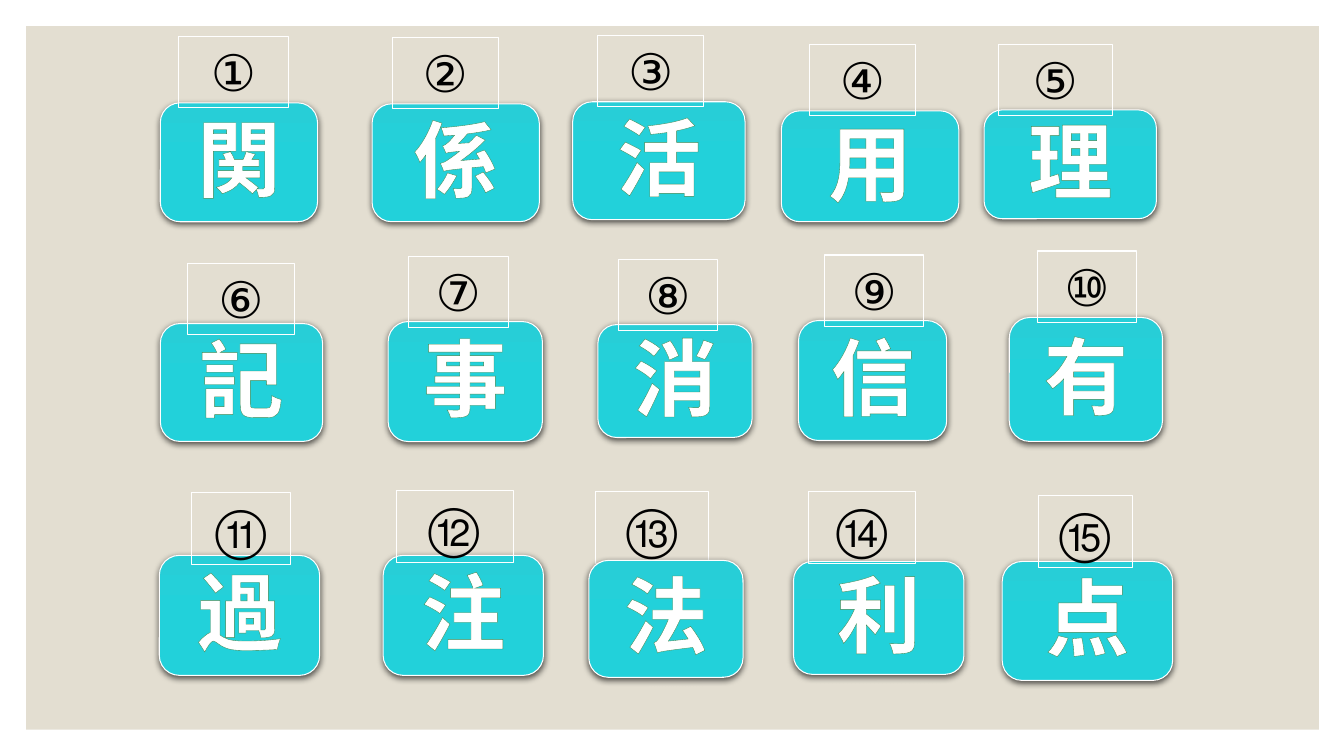
from lxml import etree
from pptx import Presentation
from pptx.dml.color import RGBColor
from pptx.enum.shapes import MSO_SHAPE as Preset
from pptx.enum.text import MSO_ANCHOR as Anchor, MSO_AUTO_SIZE as AutoSize, PP_ALIGN as Align
from pptx.oxml.ns import qn
from pptx.util import Inches, Pt

COLOURS = {
    "panel": "E3DED1",
    "white": "FFFFFF",
    "black": "000000",
    "glyph_edge": "3E8853",
}
TILE_GRADIENT = ((0, "27CED7"), (50, "22D1DA"), (100, "22D0D9"))

# Kanji, tile box and label box (left, top, width); numbers follow the order
LABEL_HEIGHT = 0.71
FIRST_NUMBER = "①"
LABELS_BEHIND = "法"
CARDS = [
    ("関", (1.59, 1.02, 1.56, 1.18), (1.77, 0.36, 1.09)),
    ("係", (3.69, 1.03, 1.66, 1.17), (3.89, 0.37, 1.05)),
    ("活", (5.68, 1.01, 1.71, 1.17), (5.93, 0.35, 1.05)),
    ("用", (7.75, 1.10, 1.76, 1.10), (8.03, 0.44, 1.05)),
    ("理", (9.76, 1.09, 1.71, 1.08), (9.90, 0.44, 1.13)),
    ("記", (1.59, 3.21, 1.61, 1.17), (1.86, 2.61, 1.06)),
    ("事", (3.85, 3.19, 1.53, 1.19), (4.05, 2.54, 0.99)),
    ("消", (5.93, 3.22, 1.53, 1.12), (6.13, 2.57, 0.99)),
    ("信", (7.92, 3.18, 1.47, 1.19), (8.18, 2.53, 0.98)),
    ("有", (10.01, 3.15, 1.52, 1.23), (10.29, 2.49, 0.98)),
    ("過", (1.58, 5.51, 1.59, 1.19), (1.90, 4.89, 0.98)),
    ("注", (3.80, 5.51, 1.59, 1.19), (3.93, 4.87, 1.16)),
    ("法", (5.84, 5.56, 1.53, 1.16), (5.91, 4.88, 1.12)),
    ("利", (7.87, 5.57, 1.69, 1.12), (8.02, 4.88, 1.06)),
    ("点", (9.94, 5.57, 1.69, 1.18), (10.30, 4.92, 0.93)),
]


def rgb(name):
    return RGBColor.from_string(COLOURS[name])


def add_colour(parent, value):
    return etree.SubElement(parent, qn("a:srgbClr"), val=value)


def add_box(slide, preset, box, fill=None, line=None):
    shape = slide.shapes.add_shape(preset, *map(Inches, box))
    shape.shadow.inherit = False
    if fill:
        shape.fill.solid()
        shape.fill.fore_color.rgb = rgb(fill)
    else:
        shape.fill.background()
    if line:
        shape.line.color.rgb = rgb(line)
        shape.line.width = Pt(0.75)
    else:
        shape.line.fill.background()
    return shape


def write_text(shape, text, *, font, size, colour, bold=False, anchor=Anchor.TOP):
    frame = shape.text_frame
    frame.word_wrap = True
    frame.vertical_anchor = anchor
    paragraph = frame.paragraphs[0]
    paragraph.alignment = Align.CENTER
    run = paragraph.add_run()
    run.text = text
    run.font.name = font
    run.font.size = Pt(size)
    run.font.bold = bold
    run.font.color.rgb = rgb(colour)
    return run


def set_gradient(shape, stops):
    shape.fill.gradient()
    shape.fill.gradient_angle = 270
    stop_list = shape._element.spPr.find(".//" + qn("a:gsLst"))
    for stop in list(stop_list):
        stop_list.remove(stop)
    for position, value in stops:
        stop = etree.SubElement(stop_list, qn("a:gs"), pos=str(position * 1000))
        add_colour(stop, value)


def set_drop_shadow(shape):
    effects = shape._element.spPr.find(qn("a:effectLst"))
    shadow = etree.SubElement(
        effects, qn("a:outerShdw"), blurRad=str(Pt(4.5)), dist=str(Pt(1.5)),
        dir="5400000", rotWithShape="0")
    colour = add_colour(shadow, COLOURS["black"])
    etree.SubElement(colour, qn("a:alpha"), val="63000")


def set_text_outline(run, colour, width):
    properties = run.font._element
    outline = etree.Element(qn("a:ln"), w=str(Pt(width)))
    add_colour(etree.SubElement(outline, qn("a:solidFill")), COLOURS[colour])
    properties.insert(0, outline)


def add_tile(slide, kanji, box):
    shape = add_box(slide, Preset.ROUNDED_RECTANGLE, box, line="white")
    set_gradient(shape, TILE_GRADIENT)
    set_drop_shadow(shape)
    frame = shape.text_frame
    frame.margin_left = frame.margin_top = frame.margin_right = 0
    frame.margin_bottom = Inches(0.1)
    run = write_text(shape, kanji, font="Calibri", size=60, colour="white",
                     bold=True, anchor=Anchor.MIDDLE)
    set_text_outline(run, "glyph_edge", 0.8)


def add_label(slide, number, position):
    shape = add_box(slide, Preset.RECTANGLE, (*position, LABEL_HEIGHT), line="white")
    write_text(shape, number, font="League Spartan", size=36, colour="black")
    shape.text_frame.auto_size = AutoSize.SHAPE_TO_FIT_TEXT


def main():
    presentation = Presentation()
    presentation.slide_width = Inches(13.33)
    presentation.slide_height = Inches(7.5)
    slide = presentation.slides.add_slide(presentation.slide_layouts[6])

    # Background panel
    add_box(slide, Preset.RECTANGLE, (0.26, 0.26, 12.82, 6.98), fill="panel")

    # Numbered kanji cards
    for index, (kanji, tile_box, label_position) in enumerate(CARDS):
        number = chr(ord(FIRST_NUMBER) + index)
        if kanji in LABELS_BEHIND:
            add_label(slide, number, label_position)
            add_tile(slide, kanji, tile_box)
        else:
            add_tile(slide, kanji, tile_box)
            add_label(slide, number, label_position)

    presentation.save("out.pptx")


if __name__ == "__main__":
    main()
